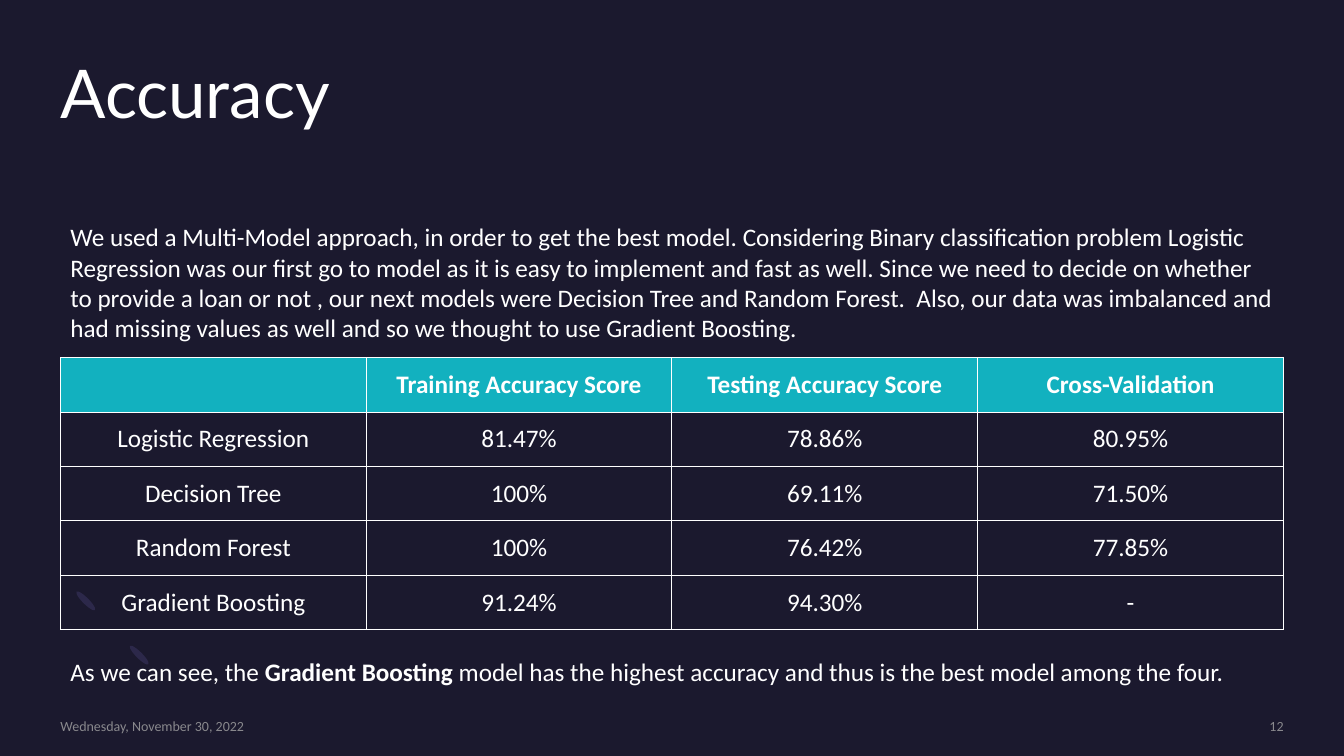
"""Build the Accuracy slide with its table of model scores."""
from lxml.etree import SubElement
from pptx import Presentation
from pptx.dml.color import RGBColor
from pptx.enum.shapes import MSO_SHAPE
from pptx.enum.text import MSO_ANCHOR, MSO_AUTO_SIZE, PP_ALIGN
from pptx.oxml.ns import qn
from pptx.util import Pt

TITLE = "Accuracy"
INTRO = (
    "We used a Multi-Model approach, in order to get the best model. "
    "Considering Binary classification problem Logistic Regression was our "
    "first go to model as it is easy to implement and fast as well. Since we "
    "need to decide on whether to provide a loan or not , our next models were "
    "Decision Tree and Random Forest.  Also, our data was imbalanced and had "
    "missing values as well and so we thought to use Gradient Boosting."
)
CLOSE = (
    "As we can see, the **Gradient Boosting** model has the highest accuracy "
    "and thus is the best model among the four."
)
SCORES = [
    ("", "Training Accuracy Score", "Testing Accuracy Score", "Cross-Validation"),
    ("Logistic Regression", "81.47%", "78.86%", "80.95%"),
    ("Decision Tree", "100%", "69.11%", "71.50%"),
    ("Random Forest", "100%", "76.42%", "77.85%"),
    ("Gradient Boosting", "91.24%", "94.30%", "-"),
]
DATE, PAGE = "Wednesday, November 30, 2022", "12"
DASHES = [(97.2, 458.6), (59, 419.8)]

WIDE, HIGH, EDGE = 960, 540, 43.2
SPAN = WIDE - 2 * EDGE
ROW = 38.9
NAVY, TEAL, WHITE, GREY, PLUM = "1B192E", "12B1BF", "FFFFFF", "A6A6A6", "2C284A"


def paint(fill, color):
    fill.solid()
    fill.fore_color.rgb = RGBColor.from_string(color)


def write(frame, text, size=18, font="Calibri", color=WHITE, bold=False,
          align=PP_ALIGN.LEFT, alpha=None, space=None):
    para = frame.paragraphs[0]
    para.alignment = align
    para.line_spacing = space
    for num, part in enumerate(text.split("**")):
        run = para.add_run()
        run.text = part
        run.font.size = Pt(size)
        run.font.name = font
        run.font.bold = bold or num % 2 == 1
        paint(run.font.fill, color)
        if alpha:
            tint = run.font.fill.fore_color._xFill[0]
            SubElement(tint, qn("a:alpha"), val=str(alpha * 1000))


def clear(frame):
    frame.margin_left = frame.margin_right = 0
    frame.margin_top = frame.margin_bottom = 0


def label(slide, text, left, top, width, height, small=False, **style):
    box = slide.shapes.add_textbox(Pt(left), Pt(top), Pt(width), Pt(height))
    frame = box.text_frame
    frame.word_wrap = True
    if small:
        clear(frame)
        frame.vertical_anchor = MSO_ANCHOR.MIDDLE
        style.update(size=10, color=GREY, alpha=80)
    write(frame, text, **style)


def border(cell):
    props = cell._tc.get_or_add_tcPr()
    for side in "LRTB":
        line = SubElement(props, qn(f"a:ln{side}"), w=str(Pt(0.75)))
        fill = SubElement(line, qn("a:solidFill"))
        SubElement(fill, qn("a:srgbClr"), val=WHITE)


def add_title(slide):
    title = slide.shapes.title
    title.left, title.top = Pt(EDGE), Pt(EDGE)
    title.width, title.height = Pt(SPAN), Pt(105)
    frame = title.text_frame
    frame.auto_size = MSO_AUTO_SIZE.NONE
    frame.vertical_anchor = MSO_ANCHOR.TOP
    clear(frame)
    write(frame, TITLE, size=48, font="Lato", space=0.9)


def add_scores(slide):
    rows, cols = len(SCORES), len(SCORES[0])
    grid = slide.shapes.add_table(rows, cols, Pt(EDGE), Pt(255.4),
                                  Pt(SPAN), Pt(ROW * rows)).table
    for col in grid.columns:
        col.width = Pt(SPAN / cols)
    for num, row in enumerate(SCORES):
        grid.rows[num].height = Pt(ROW)
        for spot, text in enumerate(row):
            cell = grid.cell(num, spot)
            cell.vertical_anchor = MSO_ANCHOR.MIDDLE
            border(cell)
            if num:
                cell.fill.background()
            else:
                paint(cell.fill, TEAL)
            write(cell.text_frame, text, bold=num == 0, align=PP_ALIGN.CENTER)


def main():
    deck = Presentation()
    deck.slide_width, deck.slide_height = Pt(WIDE), Pt(HIGH)
    slide = deck.slides.add_slide(deck.slide_layouts[5])
    paint(slide.background.fill, NAVY)
    add_title(slide)
    for left, top in DASHES:
        dash = slide.shapes.add_shape(MSO_SHAPE.OVAL, Pt(left), Pt(top),
                                      Pt(4.5), Pt(18.7))
        dash.rotation = 135
        dash.shadow.inherit = False
        dash.line.fill.background()
        paint(dash.fill, PLUM)
    add_scores(slide)
    label(slide, DATE, EDGE, 512.6, 207.4, 12.2, small=True)
    label(slide, PAGE, WIDE - EDGE - 133.2, 512.6, 133.2, 12.2, small=True,
          align=PP_ALIGN.RIGHT)
    label(slide, INTRO, EDGE, 154.8, SPAN, 94.3)
    label(slide, CLOSE, EDGE, 465.1, SPAN, 29)
    deck.save("out.pptx")


if __name__ == "__main__":
    main()
